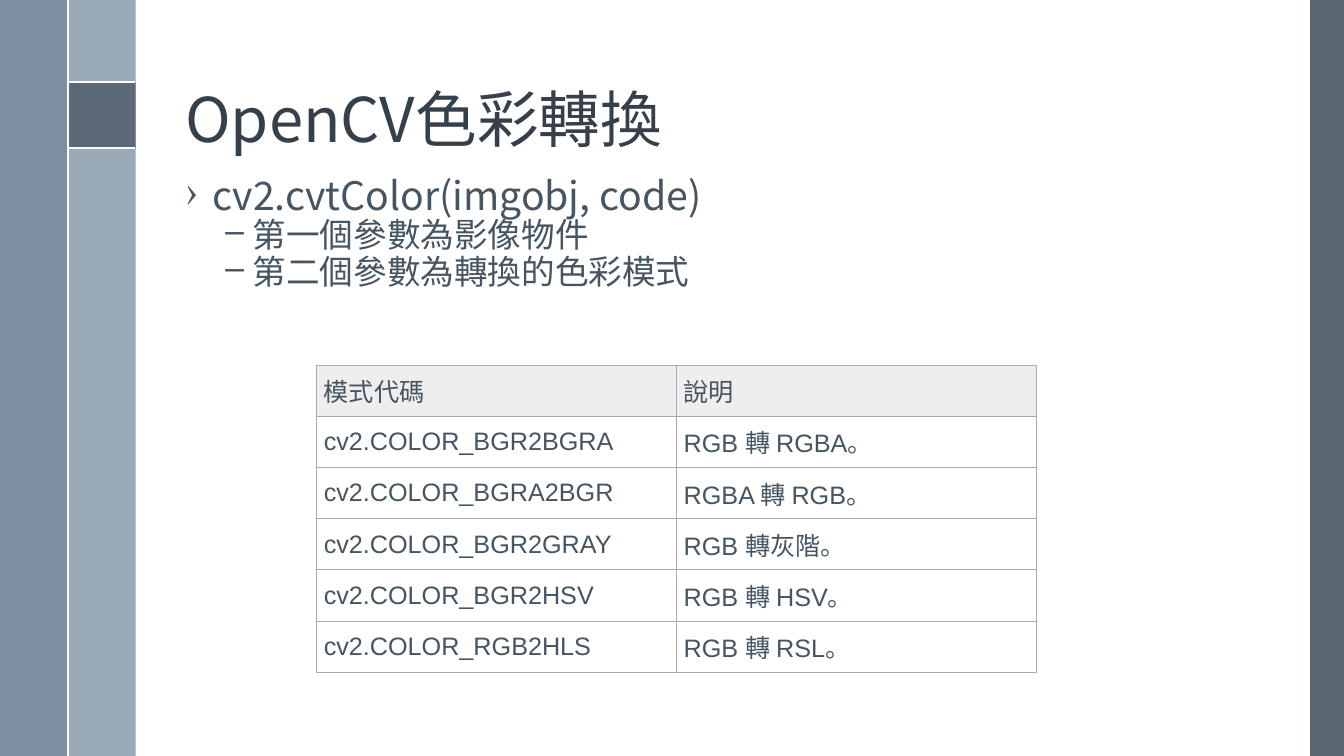
from dataclasses import dataclass

from lxml import etree
from pptx import Presentation
from pptx import util as u
from pptx.dml.color import RGBColor
from pptx.enum import shapes, text
from pptx.oxml import ns

SLATE = RGBColor(0x47, 0x55, 0x62)
STEEL = RGBColor(0x6A, 0x80, 0x93)
MIST = RGBColor(0x9B, 0xAA, 0xB7)
WHITE = RGBColor(0xFF, 0xFF, 0xFF)
DARK = RGBColor(0x35, 0x40, 0x4A)
INK = RGBColor(0x46, 0x55, 0x62)
PALE = RGBColor(0xEE, 0xEE, 0xEE)
GRID = RGBColor(0xAA, 0xAA, 0xAA)
SANS = "Noto Sans CJK TC"


@dataclass
class Bar:
    left: float
    top: float
    width: float
    height: float
    color: RGBColor
    alpha: int = 100


@dataclass
class Rule:
    x1: float
    y1: float
    x2: float
    y2: float


@dataclass
class Para:
    words: str
    size: int
    color: RGBColor
    mark: str = ""
    level: int = 0
    left: float = 0


BARS = [
    Bar(33.02, 0, 0.85, 19.05, SLATE, 90),
    Bar(1.72, 0, 1.7, 19.05, MIST),
    Bar(0, 0, 1.7, 19.05, STEEL, 88),
    Bar(1.72, 2.06, 1.7, 1.68, SLATE, 75),
]
RULES = [
    Rule(1.72, 2.06, 3.41, 2.06),
    Rule(1.72, 3.74, 3.41, 3.74),
    Rule(1.72, 0, 1.72, 19.05),
]
TITLE = [Para("OpenCV色彩轉換", 44, DARK)]
BODY = [
    Para("cv2.cvtColor(imgobj, code)", 28, INK, "›", 0, 0.69),
    Para("第一個參數為影像物件", 24, INK, "–", 1, 1.7),
    Para("第二個參數為轉換的色彩模式", 24, INK, "–", 1, 1.7),
]
MODES = [
    ("模式代碼", "說明"),
    ("cv2.COLOR_BGR2BGRA", "RGB 轉 RGBA。"),
    ("cv2.COLOR_BGRA2BGR", "RGBA 轉 RGB。"),
    ("cv2.COLOR_BGR2GRAY", "RGB 轉灰階。"),
    ("cv2.COLOR_BGR2HSV", "RGB 轉 HSV。"),
    ("cv2.COLOR_RGB2HLS", "RGB 轉 RSL。"),
]


def add(parent, tag: str, **attrs: str):
    return etree.SubElement(parent, ns.qn(tag), attrs)


def assign(item, values: dict) -> None:
    for key, value in values.items():
        setattr(item, key, value)


def write(para, words: str, size: int, color: RGBColor, face: str) -> None:
    run = para.add_run()
    run.text = words
    assign(run.font, {"size": u.Pt(size), "name": face})
    run.font.color.rgb = color
    add(run.font._element, "a:ea", typeface=SANS)


def draw_bar(slide, bar: Bar) -> None:
    box = slide.shapes.add_shape(
        shapes.MSO_SHAPE.RECTANGLE,
        u.Cm(bar.left), u.Cm(bar.top), u.Cm(bar.width), u.Cm(bar.height))
    box.shadow.inherit = False
    box.line.fill.background()
    box.fill.solid()
    box.fill.fore_color.rgb = bar.color
    if bar.alpha < 100:
        tint = box._element.spPr.find(".//" + ns.qn("a:srgbClr"))
        add(tint, "a:alpha", val=str(bar.alpha * 1000))


def draw_rule(slide, rule: Rule) -> None:
    line = slide.shapes.add_connector(
        shapes.MSO_CONNECTOR.STRAIGHT,
        u.Cm(rule.x1), u.Cm(rule.y1), u.Cm(rule.x2), u.Cm(rule.y2))
    line.line.width = u.Pt(1.5)
    line.line.color.rgb = WHITE
    add(line._element.spPr, "a:effectLst")


def draw_text(slide, top: float, height: float, anchor, paras: list[Para]) -> None:
    box = slide.shapes.add_textbox(
        u.Cm(4.42), u.Cm(top), u.Cm(27.18), u.Cm(height))
    frame = box.text_frame
    assign(frame, {"word_wrap": True, "vertical_anchor": anchor,
                   "margin_top": 0, "margin_bottom": 0})
    for i, item in enumerate(paras):
        para = frame.add_paragraph() if i else frame.paragraphs[0]
        if item.mark:
            props = para._p.get_or_add_pPr()
            props.set("marL", str(u.Cm(item.left)))
            props.set("indent", str(-u.Cm(0.69)))
            add(props, "a:buChar", char=item.mark)
        assign(para, {"level": item.level, "line_spacing": 0.9,
                      "space_before": u.Pt(0)})
        write(para, item.words, item.size, item.color, SANS)


def edge(cell) -> None:
    props = cell._tc.get_or_add_tcPr()
    for side in ("a:lnL", "a:lnR", "a:lnT", "a:lnB"):
        line = add(props, side, w=str(u.Pt(0.75)))
        add(add(line, "a:solidFill"), "a:srgbClr", val=str(GRID))


def draw_table(slide, rows: list[tuple[str, str]]) -> None:
    wide, high = u.Cm(9.07), u.Cm(1.29)
    table = slide.shapes.add_table(
        len(rows), 2, u.Cm(7.98), u.Cm(9.2), wide * 2, high * len(rows)).table
    assign(table, {"first_row": False, "horz_banding": False})
    pad = u.Cm(0.18)
    form = {"vertical_anchor": text.MSO_ANCHOR.MIDDLE, "margin_left": pad,
            "margin_right": pad, "margin_top": pad, "margin_bottom": pad}
    for r, row in enumerate(rows):
        for c, words in enumerate(row):
            cell = table.cell(r, c)
            assign(cell, form)
            edge(cell)
            cell.fill.solid()
            cell.fill.fore_color.rgb = WHITE if r else PALE
            write(cell.text_frame.paragraphs[0], words, 18, INK, "Arial")


def main() -> None:
    deck = Presentation()
    assign(deck, {"slide_width": u.Cm(33.87), "slide_height": u.Cm(19.05)})
    slide = deck.slides.add_slide(deck.slide_layouts[6])

    # Side bands
    for bar in BARS:
        draw_bar(slide, bar)
    for rule in RULES:
        draw_rule(slide, rule)

    # Title and bullets
    draw_text(slide, 0.48, 3.45, text.MSO_ANCHOR.BOTTOM, TITLE)
    draw_text(slide, 4.45, 12.7, text.MSO_ANCHOR.TOP, BODY)

    # Colour codes
    draw_table(slide, MODES)
    deck.save("out.pptx")


if __name__ == "__main__":
    main()
